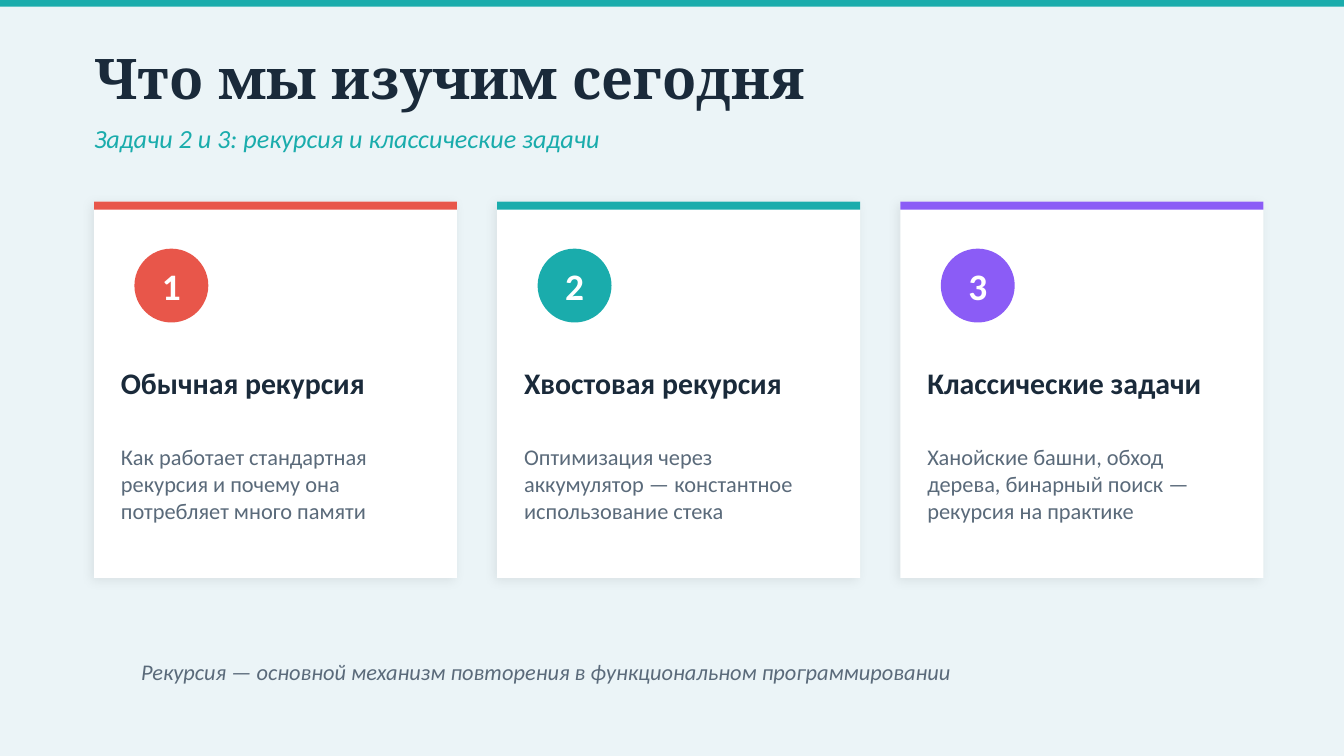
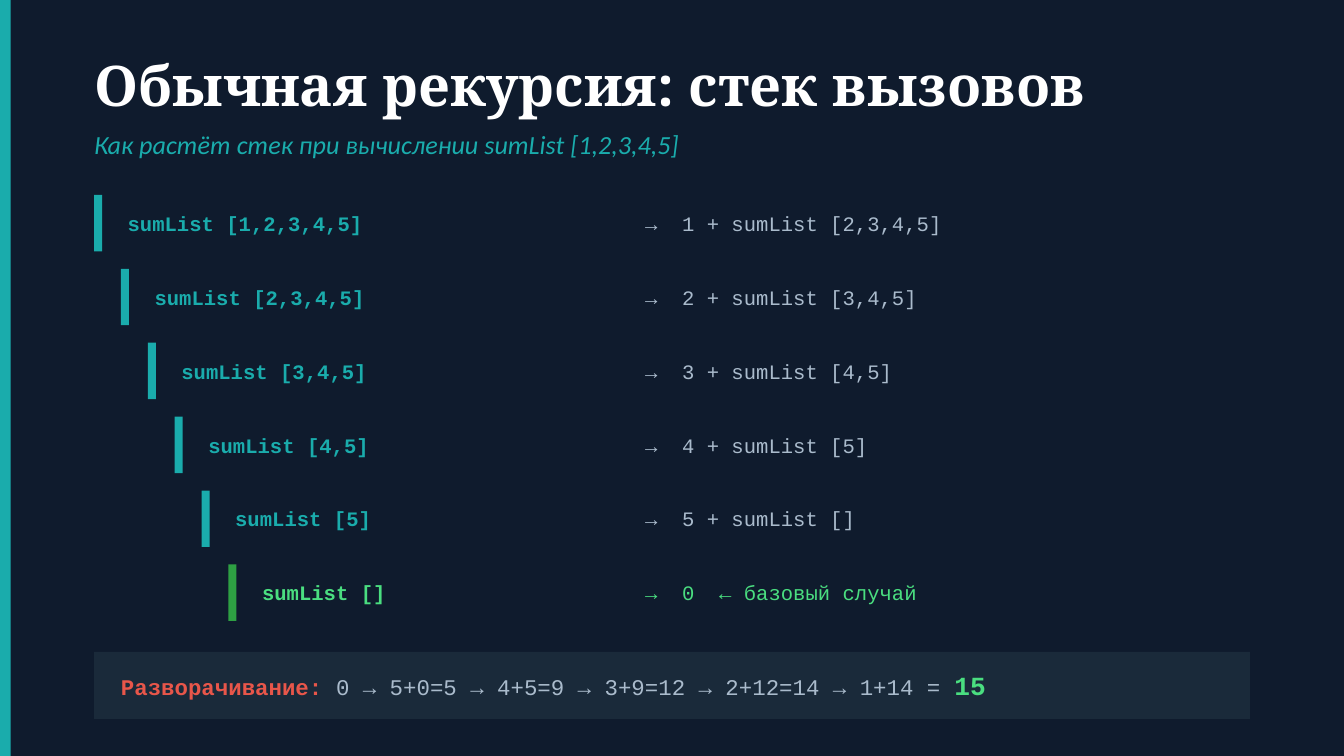
from dataclasses import dataclass

from lxml import etree
from pptx import Presentation
from pptx.dml.color import RGBColor
from pptx.enum.shapes import MSO_SHAPE
from pptx.enum.text import MSO_ANCHOR, MSO_AUTO_SIZE, PP_ALIGN
from pptx.oxml.ns import qn
from pptx.util import Inches, Pt

RECTANGLE, OVAL = MSO_SHAPE.RECTANGLE, MSO_SHAPE.OVAL
MIDDLE, NO_AUTOFIT = MSO_ANCHOR.MIDDLE, MSO_AUTO_SIZE.NONE
LEFT, CENTER = PP_ALIGN.LEFT, PP_ALIGN.CENTER
TITLE_ONLY = 5


@dataclass(frozen=True)
class Theme:
    light: str = "EBF4F7"
    dark: str = "0F1B2D"
    ink: str = "1A2A3A"
    white: str = "FFFFFF"
    muted: str = "5A6A7A"
    pale: str = "AABBCC"
    teal: str = "1AACAC"
    coral: str = "E8564A"
    violet: str = "8B5CF6"
    green: str = "2EA043"
    mint: str = "4ADE80"
    heading_font: str = "Noto Serif"
    body_font: str = "Calibri"
    code_font: str = "Courier New"
    title_size: int = 30
    number_size: int = 20
    card_size: int = 16
    subtitle_size: int = 14
    body_size: int = 12
    code_size: int = 11


THEME = Theme()


@dataclass(frozen=True)
class Box:
    """An area of the page, in inches."""
    left: float
    top: float
    width: float
    height: float

    def inner(self, left, top, width, height):
        return Box(self.left + left, self.top + top, width, height)

    def emu(self):
        return [Inches(n) for n in (self.left, self.top, self.width, self.height)]


CARDS = [
    ("Обычная рекурсия", THEME.coral,
     "Как работает стандартная рекурсия и почему она потребляет много памяти"),
    ("Хвостовая рекурсия", THEME.teal,
     "Оптимизация через аккумулятор — константное использование стека"),
    ("Классические задачи", THEME.violet,
     "Ханойские башни, обход дерева, бинарный поиск — рекурсия на практике"),
]
NUMBERS = [1, 2, 3, 4, 5]


def write(shape, text, size=THEME.body_size, font=THEME.body_font, color=THEME.ink,
          bold=False, italic=False, align=LEFT, inset=0):
    """Append a run to the shape's single paragraph and format its frame."""
    frame = shape.text_frame
    frame.word_wrap = True
    frame.auto_size = NO_AUTOFIT
    frame.vertical_anchor = MIDDLE
    frame.margin_left = Inches(inset)
    frame.margin_top = frame.margin_right = frame.margin_bottom = 0
    para = frame.paragraphs[0]
    para.alignment = align
    span = para.add_run()
    span.text = text
    span.font.size, span.font.name = Pt(size), font
    span.font.bold, span.font.italic = bold, italic
    span.font.color.rgb = RGBColor.from_string(color)


def add_text(page, box, text, **style):
    write(page.shapes.add_textbox(*box.emu()), text, **style)


def add_block(page, box, color, kind=RECTANGLE):
    block = page.shapes.add_shape(kind, *box.emu())
    block.shadow.inherit = False
    block.fill.solid()
    block.fill.fore_color.rgb = RGBColor.from_string(color)
    block.line.fill.background()
    return block


def add_soft_shadow(block):
    effects = block.element.spPr.find(qn("a:effectLst"))
    shadow = etree.SubElement(
        effects, qn("a:outerShdw"), blurRad=str(Pt(6)), dist=str(Pt(2)),
        dir=str(135 * 60000), algn="bl", rotWithShape="0")
    color = etree.SubElement(shadow, qn("a:srgbClr"), val="000000")
    etree.SubElement(color, qn("a:alpha"), val="8000")


def add_page(deck, background, accent_box):
    page = deck.slides.add_slide(deck.slide_layouts[TITLE_ONLY])
    page.background.fill.solid()
    page.background.fill.fore_color.rgb = RGBColor.from_string(background)
    add_block(page, accent_box, THEME.teal)
    return page


def add_heading(page, box, title, subtitle, color):
    heading = page.shapes.title
    area = box.inner(0, 0, box.width, 0.65)
    heading.left, heading.top, heading.width, heading.height = area.emu()
    write(heading, title, size=THEME.title_size, font=THEME.heading_font,
          color=color, bold=True)
    add_text(page, box.inner(0, 0.6, box.width, 0.35), subtitle,
             size=THEME.subtitle_size, color=THEME.teal, italic=True)


def add_card(page, box, number, name, color, description):
    add_soft_shadow(add_block(page, box, THEME.white))
    add_block(page, box.inner(0, 0, box.width, 0.06), color)
    badge = add_block(page, box.inner(0.3, 0.35, 0.55, 0.55), color, OVAL)
    write(badge, str(number), size=THEME.number_size, color=THEME.white,
          bold=True, align=CENTER)
    text_width = box.width - 0.4
    add_text(page, box.inner(0.2, 1.1, text_width, 0.5), name,
             size=THEME.card_size, bold=True)
    add_text(page, box.inner(0.2, 1.6, text_width, 1), description,
             color=THEME.muted)


def add_call_stack(page, box, numbers):
    """One row per call, each indented further, down to the base case."""
    row_step, indent, row_height = 0.55, 0.2, 0.42
    calls = [f"sumList [{','.join(map(str, numbers[start:]))}]"
             for start in range(len(numbers) + 1)]
    results = [f"→  {number} + {call}" for number, call in zip(numbers, calls[1:])]
    results.append("→  0  ← базовый случай")
    for depth, (call, result) in enumerate(zip(calls, results)):
        is_base = depth == len(numbers)
        bar_color = THEME.green if is_base else THEME.teal
        call_color = THEME.mint if is_base else THEME.teal
        result_color = THEME.mint if is_base else THEME.pale
        top, shift = depth * row_step, depth * indent
        code = {"size": THEME.code_size, "font": THEME.code_font}
        add_block(page, box.inner(shift, top, 0.06, row_height), bar_color)
        add_text(page, box.inner(shift + 0.25, top, 3.5, row_height), call,
                 color=call_color, bold=True, **code)
        add_text(page, box.inner(4.1, top, 4.8, row_height), result,
                 color=result_color, **code)


def add_unwinding(page, box):
    panel = add_block(page, box, THEME.ink)
    code = {"font": THEME.code_font, "inset": 0.2}
    write(panel, "Разворачивание: ", color=THEME.coral, bold=True, **code)
    write(panel, "0 → 5+0=5 → 4+5=9 → 3+9=12 → 2+12=14 → 1+14 = ",
          color=THEME.pale, **code)
    write(panel, "15", size=THEME.subtitle_size, color=THEME.mint, bold=True, **code)


def build_agenda(deck):
    page = add_page(deck, THEME.light, Box(0, 0, 10, 0.05))
    add_heading(page, Box(0.7, 0.25, 8.6, 0.95), "Что мы изучим сегодня",
                "Задачи 2 и 3: рекурсия и классические задачи", THEME.ink)
    card_width, gap = 2.7, 0.3
    for index, card in enumerate(CARDS):
        box = Box(0.7 + index * (card_width + gap), 1.5, card_width, 2.8)
        add_card(page, box, index + 1, *card)
    add_text(page, Box(1.05, 4.82, 8, 0.35),
             "Рекурсия — основной механизм повторения в функциональном программировании",
             color=THEME.muted, italic=True)


def build_recursion(deck):
    page = add_page(deck, THEME.dark, Box(0, 0, 0.08, deck.slide_height / Inches(1)))
    add_heading(page, Box(0.7, 0.3, 8.6, 0.95), "Обычная рекурсия: стек вызовов",
                "Как растёт стек при вычислении sumList [1,2,3,4,5]", THEME.white)
    add_call_stack(page, Box(0.7, 1.45, 8.9, 3.17), NUMBERS)
    add_unwinding(page, Box(0.7, 4.85, 8.6, 0.5))


def main():
    deck = Presentation()
    deck.slide_width = Inches(10)
    deck.slide_height = deck.slide_width * 9 // 16
    build_agenda(deck)
    build_recursion(deck)
    deck.save("out.pptx")


if __name__ == "__main__":
    main()
